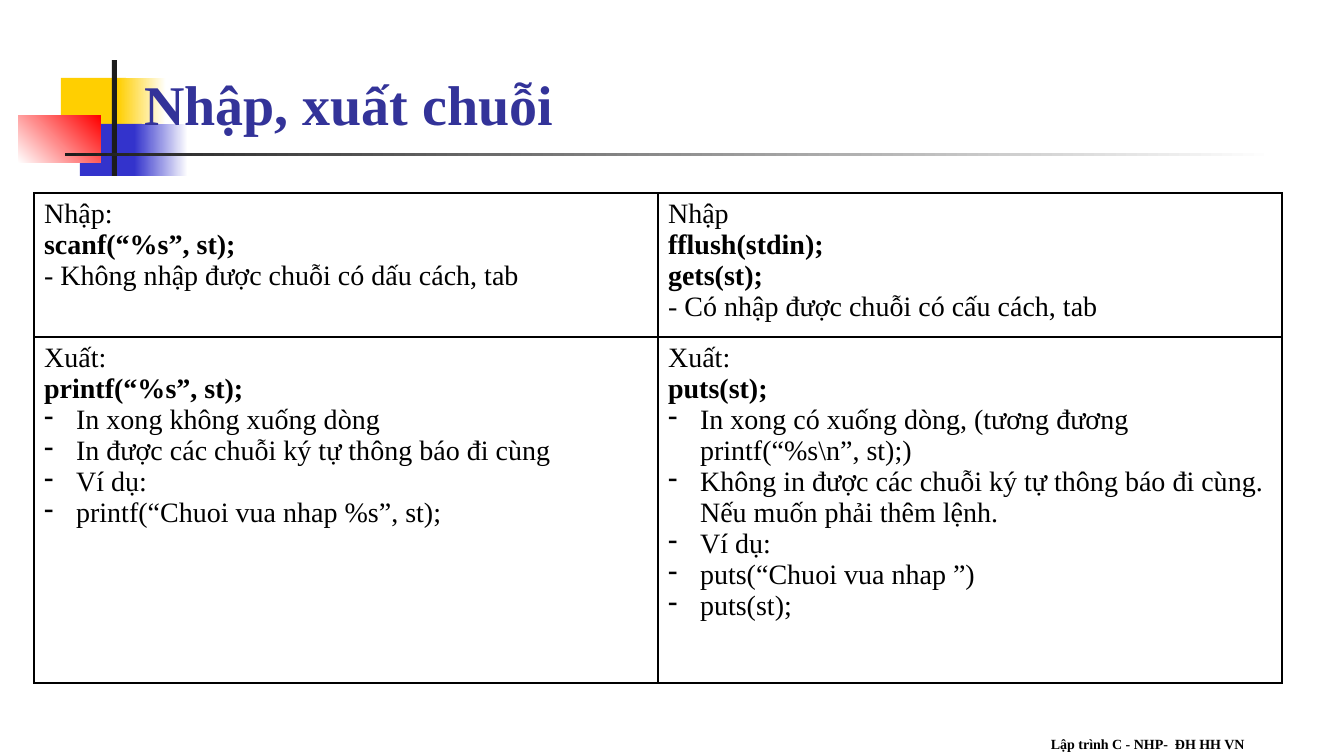
from pptx import Presentation
from pptx.dml.color import RGBColor as RGB
from pptx.enum.shapes import MSO_SHAPE as Kind
from pptx.enum.text import MSO_ANCHOR as Anchor, PP_ALIGN as Align
from pptx.oxml.ns import qn
from pptx.util import Pt
from lxml.etree import SubElement as Sub, Element

BLACK = RGB(0, 0, 0)
WHITE = RGB(255, 255, 255)
GOLD = RGB(0xFF, 0xCF, 0x01)
BLUE = RGB(0x33, 0x33, 0xCC)
NAVY = RGB(0x33, 0x33, 0x99)
RED = RGB(255, 0, 0)
DARK = RGB(0x1C, 0x1C, 0x1C)

TITLE = "Nhập, xuất chuỗi"
FOOT = "Lập trình C - NHP-  ĐH HH VN"
CELLS = [
    [
        [("Nhập:", ""), ("scanf(“%s”, st);", "bold"),
         ("- Không nhập được chuỗi có dấu cách, tab", "")],
        [("Nhập", ""), ("fflush(stdin);", "bold"), ("gets(st);", "bold"),
         ("- Có nhập được chuỗi có cấu cách, tab", "")],
    ],
    [
        [("Xuất:", ""), ("printf(“%s”, st);", "bold"),
         ("In xong không xuống dòng", "dash"),
         ("In được các chuỗi ký tự thông báo đi cùng", "dash"),
         ("Ví dụ:", "dash"),
         ("printf(“Chuoi vua nhap %s”, st);", "dash")],
        [("Xuất:", ""), ("puts(st);", "bold"),
         ("In xong có xuống dòng, (tương đương printf(“%s\\n”, st);)", "dash"),
         ("Không in được các chuỗi ký tự thông báo đi cùng. "
          "Nếu muốn phải thêm lệnh.", "dash"),
         ("Ví dụ:", "dash"),
         ("puts(“Chuoi vua nhap ”)", "dash"),
         ("puts(st);", "dash")],
    ],
]
ROWS = [144, 346]
DECOR = [
    ((61, 78, 65, 52), [GOLD], 0),
    ((118, 78, 48, 52), [GOLD, WHITE], 0),
    ((80, 124, 62, 52), [BLUE], 0),
    ((134, 124, 54, 52), [BLUE, WHITE], 0),
    ((18, 116, 83, 47), [WHITE, RED], 45),
    ((112, 60, 5, 116), [DARK], 0),
    ((65, 153, 1210, 3), [DARK, WHITE], 0),
]


def px(n):
    return round(n * 914400 / 100.8)


def box(*dims):
    return [px(n) for n in dims]


def write(para, text, size=20, color=BLACK, bold=False, dash=False):
    run = para.add_run()
    run.text = text
    font = run.font
    font.name = "Times New Roman"
    font.size = Pt(size)
    font.bold = bold
    font.color.rgb = color
    para.alignment = Align.LEFT
    if dash:
        prop = para._p.get_or_add_pPr()
        prop.set("marL", str(px(32)))
        prop.set("indent", str(-px(32)))
        Sub(prop, qn("a:buChar"), char="-")


def border(cell):
    prop = cell._tc.get_or_add_tcPr()
    for i, side in enumerate("LRTB"):
        line = Element(qn("a:ln" + side), w=str(Pt(1)))
        fill = Sub(line, qn("a:solidFill"))
        Sub(fill, qn("a:srgbClr"), val=str(BLACK))
        prop.insert(i, line)


def block(shapes, dims, tones, angle):
    rect = shapes.add_shape(Kind.RECTANGLE, *box(*dims))
    rect.shadow.inherit = False
    rect.line.fill.background()
    if len(tones) == 1:
        rect.fill.solid()
        rect.fill.fore_color.rgb = tones[0]
    else:
        rect.fill.gradient()
        rect.fill.gradient_angle = angle
        for stop, tone in zip(rect.fill.gradient_stops, tones):
            stop.color.rgb = tone


def main():
    deck = Presentation()
    deck.slide_width, deck.slide_height = box(1344, 756)
    slide = deck.slides.add_slide(deck.slide_layouts[5])
    shapes = slide.shapes
    for dims, tones, angle in DECOR:
        block(shapes, dims, tones, angle)

    title = shapes.title
    title.left, title.top, title.width, title.height = box(134, 33, 1176, 109)
    title.text_frame.vertical_anchor = Anchor.BOTTOM
    write(title.text_frame.paragraphs[0], TITLE, size=40, color=NAVY, bold=True)
    shapes._spTree.append(title._element)

    frame = shapes.add_table(2, 2, *box(34, 193, 1248, sum(ROWS)))
    table = frame.table
    table.first_row = table.horz_banding = False
    for r, tall in enumerate(ROWS):
        table.rows[r].height = px(tall)
        for c, lines in enumerate(CELLS[r]):
            cell = table.cell(r, c)
            cell.fill.solid()
            cell.fill.fore_color.rgb = WHITE
            border(cell)
            body = cell.text_frame
            for i, (text, style) in enumerate(lines):
                para = body.add_paragraph() if i else body.paragraphs[0]
                write(para, text, bold=style == "bold", dash=style == "dash")

    foot = shapes.add_textbox(*box(1041, 731, 291, 25)).text_frame
    foot.word_wrap = True
    write(foot.paragraphs[0], FOOT, size=10, bold=True)
    deck.save("out.pptx")


if __name__ == "__main__":
    main()
